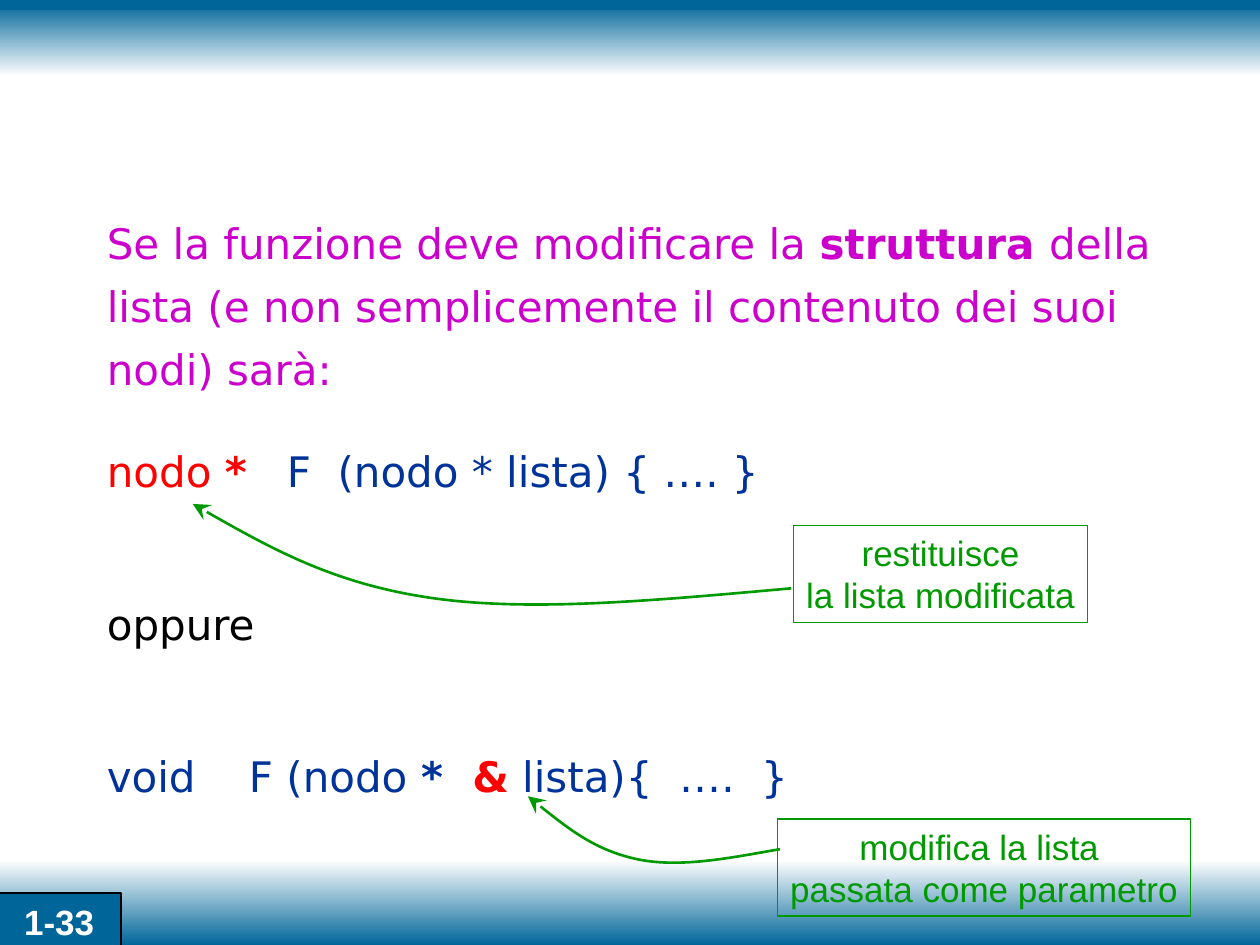
from lxml import etree
from pptx import Presentation
from pptx.dml.color import RGBColor
from pptx.enum.shapes import MSO_CONNECTOR, MSO_SHAPE
from pptx.enum.text import MSO_ANCHOR, PP_ALIGN
from pptx.oxml.ns import qn
from pptx.util import Inches, Pt

RECTANGLE = MSO_SHAPE.RECTANGLE
STRAIGHT = MSO_CONNECTOR.STRAIGHT
CENTER = PP_ALIGN.CENTER
MIDDLE = MSO_ANCHOR.MIDDLE
TOP = MSO_ANCHOR.TOP


class Theme:
    blue = RGBColor(0x00, 0x66, 0x99)
    near_white = RGBColor(0xFE, 0xFE, 0xFE)
    white = RGBColor(0xFF, 0xFF, 0xFF)
    black = RGBColor(0x00, 0x00, 0x00)
    green = RGBColor(0x00, 0x99, 0x00)
    magenta = RGBColor(0xCC, 0x00, 0xCC)
    red = RGBColor(0xFF, 0x00, 0x00)
    navy = RGBColor(0x00, 0x33, 0x99)
    body_font, body_size = "DejaVu Sans", Pt(24)
    label_font, label_size = "Arial", Pt(20)


class SlideBuilder:
    def __init__(self, slide, theme):
        self.slide = slide
        self.theme = theme

    def rectangle(self, left, top, width, height):
        shape = self.slide.shapes.add_shape(
            RECTANGLE, Inches(left), Inches(top), Inches(width), Inches(height))
        shape.shadow.inherit = False
        return shape

    def gradient_band(self, top, height, upper, lower):
        shape = self.rectangle(0, top, 10, height)
        shape.line.fill.background()
        shape.fill.gradient()
        shape.fill.gradient_angle = 270
        for stop, color, position in zip(shape.fill.gradient_stops, (upper, lower), (0, 1)):
            stop.color.rgb = color
            stop.position = position

    def rule(self, y, color, width):
        connector = self.slide.shapes.add_connector(
            STRAIGHT, 0, Inches(y), Inches(10), Inches(y))
        connector.line.color.rgb = color
        connector.line.width = Pt(width)
        etree.SubElement(connector._element.spPr, qn("a:effectLst"))

    def label(self, box, lines, color, line_color, line_width, fill=None, bold=False):
        shape = self.rectangle(*box)
        if fill is None:
            shape.fill.background()
        else:
            shape.fill.solid()
            shape.fill.fore_color.rgb = fill
        shape.line.color.rgb = line_color
        shape.line.width = Pt(line_width)
        frame = shape.text_frame
        frame.word_wrap = False
        frame.vertical_anchor = MIDDLE
        frame.text = "\n".join(lines)
        for paragraph in frame.paragraphs:
            paragraph.alignment = CENTER
            font = paragraph.font
            font.name, font.size = self.theme.label_font, self.theme.label_size
            font.color.rgb, font.bold = color, bold

    def body(self, box, paragraphs):
        """Each paragraph is (space before, line spacing, [(text, color, bold), ...])."""
        frame = self.slide.shapes.add_textbox(*map(Inches, box)).text_frame
        frame.word_wrap = True
        frame.vertical_anchor = TOP
        for index, (space, spacing, runs) in enumerate(paragraphs):
            paragraph = frame.add_paragraph() if index else frame.paragraphs[0]
            paragraph.line_spacing = spacing
            if space:
                paragraph.space_before = Pt(space)
            paragraph.font.name = self.theme.body_font
            paragraph.font.size = self.theme.body_size
            for text, color, bold in runs:
                run = paragraph.add_run()
                run.text = text
                run.font.color.rgb = color
                run.font.bold = bold

    def curved_arrow(self, *points):
        """Draw Bézier segments: a start, then two control points and an end for each."""
        start, *rest = [(Inches(x), Inches(y)) for x, y in points]
        builder = self.slide.shapes.build_freeform(*start)
        builder.add_line_segments(rest, close=False)
        shape = builder.convert_to_shape()
        shape.shadow.inherit = False
        shape.fill.background()
        shape.line.color.rgb = self.theme.green
        shape.line.width = Pt(1.5)
        etree.SubElement(shape.line._get_or_add_ln(), qn("a:tailEnd"),
                         type="stealth", w="lg", len="lg")
        outline = next(shape._element.iter(qn("a:path")))
        segments = outline.findall(qn("a:lnTo"))
        for first in range(0, len(segments), 3):
            curve = etree.SubElement(outline, qn("a:cubicBezTo"))
            for segment in segments[first:first + 3]:
                curve.append(segment[0])
                outline.remove(segment)


def main():
    presentation = Presentation()
    presentation.slide_width, presentation.slide_height = Inches(10), Inches(7.5)
    theme = Theme()
    slide = SlideBuilder(presentation.slides.add_slide(presentation.slide_layouts[6]), theme)

    slide.gradient_band(0.02, 0.58, theme.blue, theme.near_white)
    slide.gradient_band(6.83, 0.67, theme.near_white, theme.blue)
    slide.rule(0.04, theme.blue, 6)
    slide.label((-0.02, 7.09, 0.98, 0.44), ["1-33"], theme.white, theme.black, 1,
                fill=theme.blue, bold=True)

    slide.body((0.75, 1.58, 8.83, 5.25), [
        (0, 1.25, [
            ("Se la funzione deve modificare la ", theme.magenta, False),
            ("struttura ", theme.magenta, True),
            ("della lista (e non semplicemente il contenuto dei suoi nodi) sarà:",
             theme.magenta, False)]),
        (35, 0.8, [
            ("nodo ", theme.red, False),
            ("*", theme.red, True),
            ("   F  (nodo * lista) { …. }", theme.navy, False)]),
        (64, 0.8, [("oppure", theme.black, False)]),
        (64, 0.8, [
            ("void    F (nodo ", theme.navy, False),
            ("*  ", theme.navy, True),
            ("&", theme.red, True),
            (" lista){  ….  }", theme.navy, False)]),
    ])

    slide.label((6.17, 6.5, 3.28, 0.77), ["modifica la lista ", "passata come parametro"],
                theme.green, theme.green, 0.75)
    slide.label((6.3, 4.17, 2.33, 0.77), ["restituisce", "la lista modificata"],
                theme.green, theme.green, 0.75)
    slide.curved_arrow((6.19, 6.74), (5.79, 6.81), (5.4, 6.89), (5.06, 6.82),
                       (4.73, 6.75), (4.46, 6.54), (4.19, 6.32))
    slide.curved_arrow((6.28, 4.67), (5.26, 4.76), (4.24, 4.86), (3.45, 4.75),
                       (2.66, 4.64), (2.09, 4.32), (1.53, 4))
    presentation.save("out.pptx")


if __name__ == "__main__":
    main()
